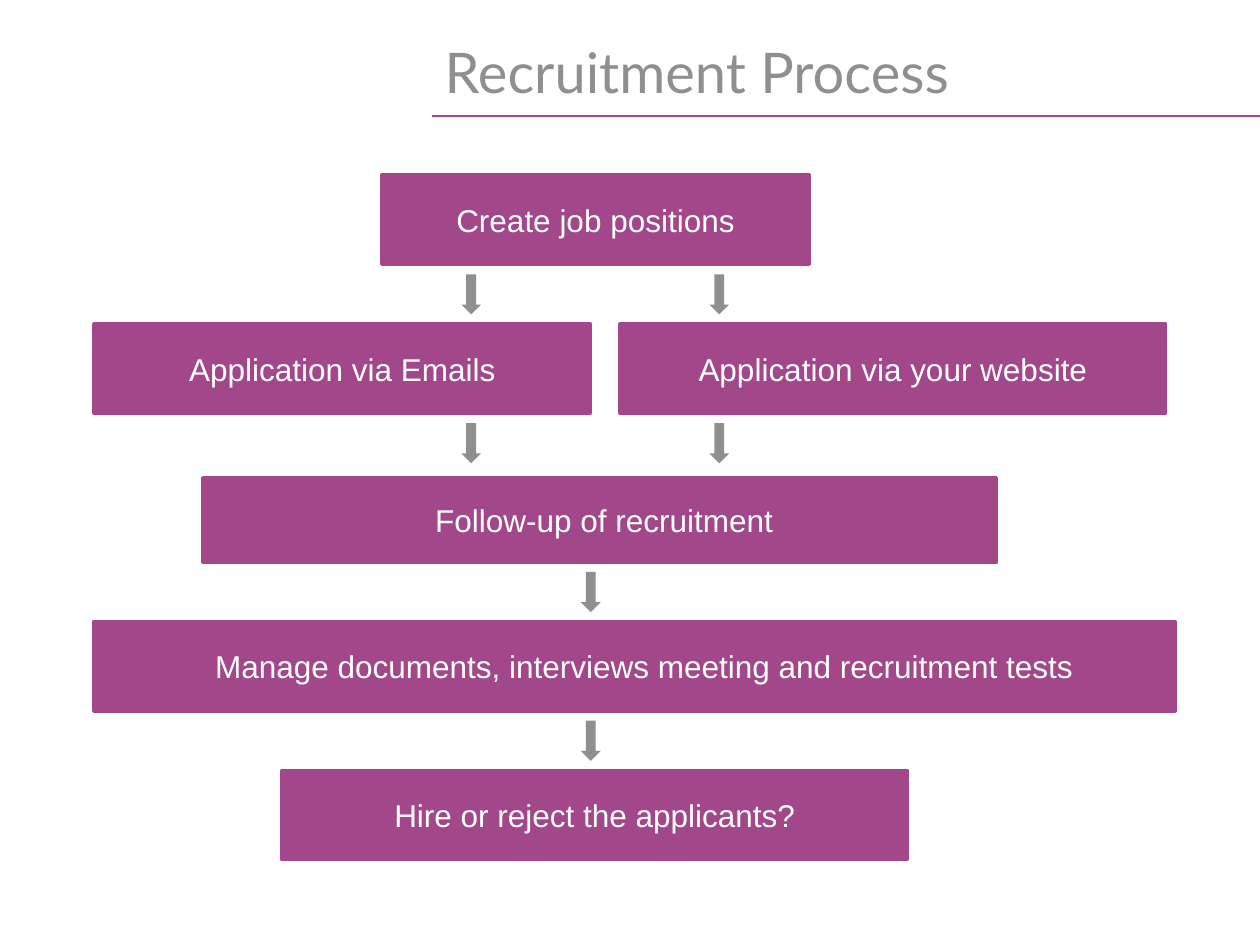
from typing import NamedTuple

from lxml import etree
from pptx import Presentation
from pptx import util as u
from pptx.dml.color import RGBColor
from pptx.enum import shapes, text
from pptx.oxml.ns import qn

PURPLE = RGBColor(0xA2, 0x47, 0x8A)
GREY = RGBColor(0x8F, 0x8F, 0x8F)
WHITE = RGBColor(0xFF, 0xFF, 0xFF)

# All lengths are in centimetres.
FIRST_ROW, ROW_PITCH = 3.53, 3.0
ARROW_DROP, ARROW_WIDTH, ARROW_HEIGHT = 2.0, 0.4, 0.81
TITLE_LEFT, RULE_TOP = 8.71, 2.34
INSET = 0.25


class Step(NamedTuple):
    label: str
    row: int
    left: float
    width: float
    height: float = 1.8
    drop: float = 0  # extra distance below the row's top
    indent: float = 0  # extra inset on the left of the label


class Arrow(NamedTuple):
    row: int
    left: float


STEPS = [
    Step("Create job positions", 0, 7.7, 8.61),
    Step("Application via Emails", 1, 1.9, 10.0),
    Step("Application via your website", 1, 12.5, 11.0),
    Step("Follow-up of recruitment", 2, 4.09, 16.0, height=1.7, drop=0.1, indent=0.18),
    Step("Manage documents, interviews meeting and recruitment tests",
         3, 1.9, 21.79, indent=0.38),
    Step("Hire or reject the applicants?", 4, 5.69, 12.6),
]
ARROWS = [Arrow(row, left) for row in (0, 1) for left in (9.3, 14.3)]
ARROWS += [Arrow(row, 11.71) for row in (2, 3)]


def row_top(row: int) -> float:
    return FIRST_ROW + row * ROW_PITCH


def add_filled(page, kind, left: float, top: float, width: float, height: float,
               colour: RGBColor):
    shape = page.shapes.add_shape(kind, u.Cm(left), u.Cm(top), u.Cm(width), u.Cm(height))
    shape.shadow.inherit = False
    shape.fill.solid()
    shape.fill.fore_color.rgb = colour
    return shape


def add_step(page, step: Step) -> None:
    box = add_filled(page, shapes.MSO_SHAPE.RECTANGLE, step.left,
                     row_top(step.row) + step.drop, step.width, step.height, PURPLE)
    box.line.color.rgb = PURPLE
    box.line.width = u.Pt(2)
    frame = box.text_frame
    frame.word_wrap = True
    frame.vertical_anchor = text.MSO_ANCHOR.MIDDLE
    frame.margin_left = u.Cm(INSET + step.indent)
    frame.margin_right = u.Cm(INSET)
    para = frame.paragraphs[0]
    para.text = step.label
    para.alignment = text.PP_ALIGN.CENTER
    para.font.name = "Arial"
    para.font.size = u.Pt(18)
    para.font.color.rgb = WHITE


def add_arrow(page, arrow: Arrow) -> None:
    shape = add_filled(page, shapes.MSO_SHAPE.DOWN_ARROW, arrow.left,
                       row_top(arrow.row) + ARROW_DROP, ARROW_WIDTH, ARROW_HEIGHT, GREY)
    shape.line.fill.background()


def add_title(page, label: str) -> None:
    title = page.shapes.title
    title.left, title.top = u.Cm(TITLE_LEFT), u.Cm(0.74)
    title.width, title.height = u.Cm(15.42), u.Cm(1.4)
    frame = title.text_frame
    frame.auto_size = text.MSO_AUTO_SIZE.NONE
    frame.vertical_anchor = text.MSO_ANCHOR.MIDDLE
    para = frame.paragraphs[0]
    para.text = label
    para.alignment = text.PP_ALIGN.LEFT
    para.font.name = "Lato"
    para.font.size = u.Pt(32)
    para.font.color.rgb = GREY


def add_title_rule(page, right: int) -> None:
    rule = page.shapes.add_connector(shapes.MSO_CONNECTOR.STRAIGHT, u.Cm(TITLE_LEFT),
                                     u.Cm(RULE_TOP), right, u.Cm(RULE_TOP))
    rule.line.color.rgb = PURPLE
    rule.line.width = u.Pt(1)
    etree.SubElement(rule._element.spPr, qn("a:effectLst"))


def main() -> None:
    deck = Presentation()
    deck.slide_width, deck.slide_height = u.Cm(25.4), u.Cm(19.05)
    page = deck.slides.add_slide(deck.slide_layouts.get_by_name("Title Only"))
    add_title_rule(page, deck.slide_width)
    add_title(page, "Recruitment Process")
    for step in STEPS:
        add_step(page, step)
    for arrow in ARROWS:
        add_arrow(page, arrow)
    deck.save("out.pptx")


if __name__ == "__main__":
    main()
